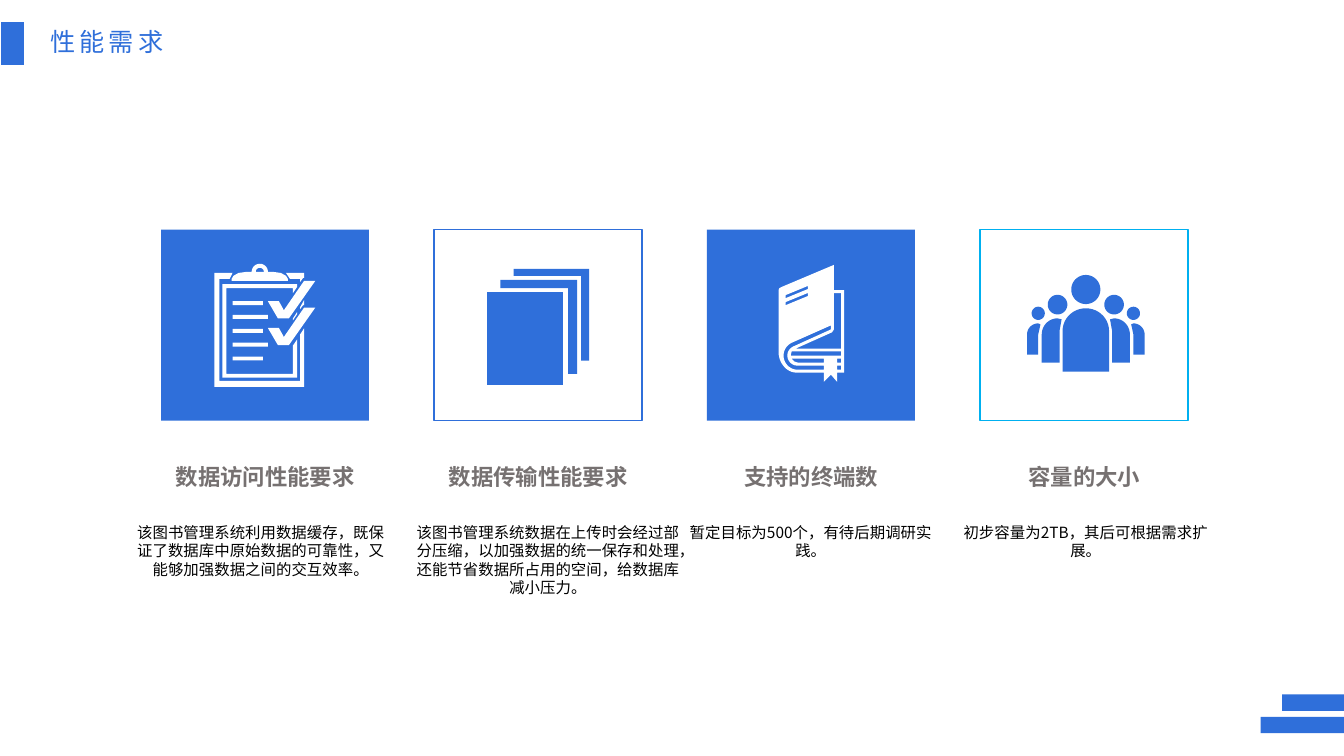
import math

import lxml.etree
import pptx
import pptx.dml.color
import pptx.enum.shapes
import pptx.enum.text
import pptx.oxml.ns
import pptx.util

FONT = "Noto Sans CJK SC"
BLUE, CYAN, WHITE, GREY, BLACK = "2F6FDA", "00B0F0", "FFFFFF", "767171", "000000"
TITLE_FORMAT = {"size": pptx.util.Pt(18), "bold": False, "name": FONT}
HEADING_FORMAT = {"size": pptx.util.Pt(16), "bold": True, "name": FONT}
BODY_FORMAT = {"size": pptx.util.Pt(11), "bold": False, "name": FONT}
TILE_WIDTH, TILE_HEIGHT, TILE_PITCH = 148.5, 136.5, 195


def color(hex_string):
    return pptx.dml.color.RGBColor.from_string(hex_string)


def paint(shape, fill, line=None):
    shape.shadow.inherit = False
    shape.fill.solid()
    shape.fill.fore_color.rgb = color(fill)
    if line:
        shape.line.color.rgb = color(line)
        shape.line.width = pptx.util.Pt(1)
    else:
        shape.line.fill.background()


def add_rectangle(slide, box, fill, line=None):
    kind = pptx.enum.shapes.MSO_SHAPE.RECTANGLE
    paint(slide.shapes.add_shape(kind, *map(pptx.util.Pt, box)), fill, line)


def add_text(slide, box, text, formats, hex_string, centered=True, spacing=None):
    shape = slide.shapes.add_textbox(*map(pptx.util.Pt, box))
    shape.text_frame.word_wrap = centered
    paragraph = shape.text_frame.paragraphs[0]
    if centered:
        paragraph.alignment = pptx.enum.text.PP_ALIGN.CENTER
    run = paragraph.add_run()
    run.text = text
    run.font.color.rgb = color(hex_string)
    for name, value in formats.items():
        setattr(run.font, name, value)
    properties = run.font._element
    lxml.etree.SubElement(properties, pptx.oxml.ns.qn("a:ea")).set("typeface", FONT)
    if spacing:
        properties.set("spc", str(spacing * 100))


def rectangle(left, top, right, bottom):
    return [(left, top), (right, top), (right, bottom), (left, bottom)]


def arc(x, y, radius_x, radius_y, start, end):
    """Points along an ellipse; angles in degrees, clockwise from the right."""
    steps = max(6, abs(end - start) // 8)
    angles = [math.radians(start + (end - start) * i / steps) for i in range(steps + 1)]
    return [(x + radius_x * math.cos(a), y + radius_y * math.sin(a)) for a in angles]


def shift(points, down):
    return [(x, y + down) for x, y in points]


def add_outlines(slide, left, top, outlines, fill):
    """Draw closed outlines as one shape; an outline inside another is a hole."""
    builder = None
    for outline in outlines:
        points = [(pptx.util.Pt(left + x), pptx.util.Pt(top + y)) for x, y in outline]
        if builder is None:
            builder = slide.shapes.build_freeform(*points[0], scale=1.0)
        else:
            builder.move_to(*points[0])
        builder.add_line_segments(points[1:], close=True)
    paint(builder.convert_to_shape(), fill)


def clipboard_icon():
    lines = [rectangle(51.1, 51.1 + 9.9 * i, 76.3 if i % 2 else 72.7, 53.9 + 9.9 * i)
             for i in range(5)]
    tick = [(110.2, 36.7), (91.4, 63.4), (83.5, 63.4), (76.3, 51.1),
            (84.2, 51.1), (87.8, 57.6), (102.2, 36.7)]
    outer_frame = [(99.4, 108), (41.8, 108), (41.8, 35.3), (49, 35.3), (51.1, 31),
                   (38.2, 31), (38.2, 112.3), (102.2, 112.3), (102.2, 70.6), (99.4, 74.9)]
    inner_frame = [(94.3, 103), (46.8, 103), (46.8, 41.8), (94.3, 41.8), (94.3, 45.4),
                   (97.2, 41), (97.2, 38.9), (43.9, 38.9), (43.9, 105.8),
                   (97.2, 105.8), (97.2, 78.5), (94.3, 82.8)]
    corner = [(101.5, 34.6), (102.2, 34.6), (102.2, 31), (89.3, 31),
              (92.2, 35.3), (99.4, 35.3), (99.4, 37.4)]
    outer_gap = [(99.4, 56.9), (101.5, 54), (102.2, 54), (102.2, 50.4), (99.4, 55.4)]
    inner_gap = [(97.2, 59), (94.3, 63.4), (94.3, 64.8), (97.2, 60.5)]
    clip = [(50.4, 36.7), (50.4, 35.3), (51.8, 33), (55.4, 31), (61.2, 30.2),
            *arc(70.6, 30.2, 5.8, 5.8, 180, 360),
            (79.9, 30.2), (85.7, 31), (89.3, 33), (90.7, 35.3), (90.7, 36.7)]
    clip_hole = arc(70.6, 30.2, 2.9, 2.9, 180, 360)
    return [[*lines, outer_frame, inner_frame, corner, outer_gap, inner_gap,
             clip, clip_hole, tick, shift(tick, 19.1)]]


def pages_icon():
    middle = [(47.5, 41.8), (95.8, 41.8), (95.8, 103), (102.2, 103), (102.2, 36), (47.5, 36)]
    back = [(56.9, 28.1), (56.9, 33.1), (105.1, 33.1), (105.1, 93.6),
            (110.9, 93.6), (110.9, 28.1)]
    return [[middle], [back], [rectangle(38.2, 44.6, 92.2, 110.9)]]


def book_icon():
    cover = [(97.9, 43.2), (90.7, 43.2), (90.7, 25.2), (53.3, 41), (51.7, 41.8),
             (51.1, 43.2), *arc(64.1, 87.1, 13, 15.1, 180, 90), (83.5, 102.2),
             (83.5, 108.7), (88.6, 103.7), (92.9, 108.7), (92.9, 102.2), (97.9, 102.2)]
    stripe = [(56.2, 46.8), (72, 40.3), (72, 42.5), (56.2, 49)]
    spine = [*arc(64.8, 90, 10.1, 10.1, 90, 245), (88.6, 68.4), (88.6, 71.3),
             *arc(64.8, 90, 7.4, 7.2, 245, 90), (83.5, 97.2), (83.5, 100.1)]
    lower_page = [(60.5, 92.2), (83.5, 92.2), (83.5, 95), (64.8, 95), (62.3, 94.2)]
    middle_page = [(95.8, 90), (59.8, 90), (60.5, 87.1), (95.8, 87.1)]
    upper_page = [(95.8, 85), (63.4, 85), (89.3, 73.4), (90.7, 71.3),
                  (90.7, 45.4), (95.8, 45.4)]
    page_ends = [rectangle(92.9, y, 95.8, y + 2.8) for y in (92.2, 97.2)]
    return [[cover, stripe, shift(stripe, 5), spine, lower_page,
             middle_page, upper_page, *page_ends]]


def people_icon():
    center = 75.6
    leader = [arc(center, 42.8, 10.4, 10.4, 0, 360),
              [(center - 16.6, 101.5), *arc(center, 72.4, 16.6, 16.2, 180, 360),
               (center + 16.6, 101.5)]]
    followers = [
        arc(20.2, 53.6, 7, 7, 0, 360),
        [(31.5, 95), (18.7, 95), (18.7, 72), (17.3, 64.1),
         *arc(20.2, 74.9, 11.3, 11.5, 270, 360)],
        arc(34, 59.8, 4.7, 4.7, 0, 360),
        [(42, 89.3), (34, 89.3), (34, 74.9), (32.4, 67.7),
         *arc(34, 74.9, 8, 7.9, 270, 360)]]
    return [leader + [[(center + side * x, y) for x, y in outline]
                      for side in (-1, 1) for outline in followers]]


# heading, body text, body offset from tile, body width, icon, icon colour, tile fill, border
CARDS = [
    ("数据访问性能要求",
     "该图书管理系统利用数据缓存，既保证了数据库中原始数据的可靠性，又能够加强数据之间的交互效率。",
     -25.2, 193, clipboard_icon, WHITE, BLUE, None),
    ("数据传输性能要求",
     "该图书管理系统数据在上传时会经过部分压缩，以加强数据的统一保存和处理，还能节省数据所占用的空间，给数据库减小压力。",
     -21.6, 206, pages_icon, BLUE, WHITE, BLUE),
    ("支持的终端数", "暂定目标为500个，有待后期调研实践。",
     -20.2, 188.6, book_icon, WHITE, BLUE, None),
    ("容量的大小", "初步容量为2TB，其后可根据需求扩展。",
     -23.8, 198.7, people_icon, BLUE, WHITE, CYAN),
]


def add_header(slide, left, top):
    add_text(slide, (left + 28.8, top, 98.6, 29), "性能需求", TITLE_FORMAT, BLUE,
             centered=False, spacing=3)
    add_rectangle(slide, (left, top, 18, 31.5), BLUE, WHITE)


def add_corner_bars(slide, right, top):
    for width, down in ((44.2, 0), (59.6, 16)):
        add_rectangle(slide, (right - width, top + down, width, 11.7), BLUE)


def add_card(slide, left, top, card):
    heading, body, body_offset, body_width, icon, icon_color, fill, border = card
    add_rectangle(slide, (left, top, TILE_WIDTH, TILE_HEIGHT), fill, border)
    for outlines in icon():
        add_outlines(slide, left, top, outlines, icon_color)
    add_text(slide, (left - 42.5, top + 163.4, 234, 29), heading, HEADING_FORMAT, GREY)
    add_text(slide, (left + body_offset, top + 206, body_width, 47), body, BODY_FORMAT, BLACK)


def main():
    presentation = pptx.Presentation()
    presentation.slide_width = pptx.util.Pt(960)
    presentation.slide_height = pptx.util.Pt(540)
    slide = presentation.slides.add_slide(presentation.slide_layouts[6])
    add_header(slide, 0, 15.2)
    add_corner_bars(slide, 960, 496)
    for index, card in enumerate(CARDS):
        add_card(slide, 115 + TILE_PITCH * index, 164, card)
    presentation.save("out.pptx")


if __name__ == "__main__":
    main()
